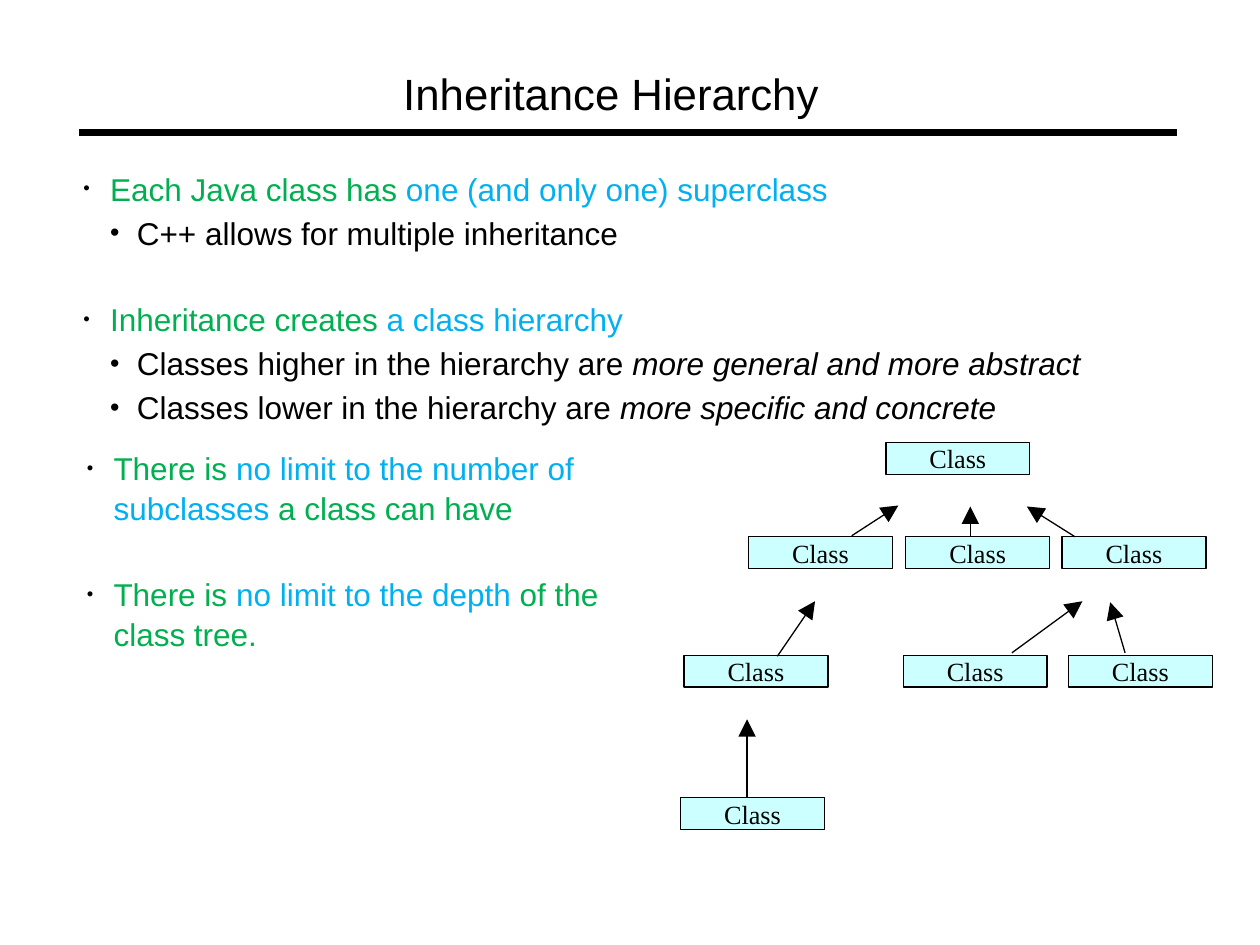
from lxml import etree
from pptx import Presentation
from pptx import util as u
from pptx.dml.color import RGBColor
from pptx.enum import shapes, text
from pptx.oxml.ns import qn

BLACK, GREEN, BLUE, CYAN = "000000", "00B050", "00B0F0", "CCFFFF"


def rgb(hex_color):
    """Turn a hex string into a colour."""
    return RGBColor.from_string(hex_color)


def add_run(p, wording, color=BLACK, **fmt):
    """Add a run, with font values taken from fmt."""
    r = p.add_run()
    r.text = wording
    r.font.color.rgb = rgb(color)
    for name, value in {"name": "Arial", "size": u.Pt(18), **fmt}.items():
        setattr(r.font, name, value)


prs = Presentation()
prs.slide_width, prs.slide_height = u.Cm(25.4), u.Cm(19.05)
s = prs.slides.add_slide(prs.slide_layouts[6])
no_margins = dict.fromkeys(
    ["margin_left", "margin_right", "margin_top", "margin_bottom"], 0)

# Title
title = s.shapes.add_textbox(u.Cm(8.13), u.Cm(1.35), u.Cm(10.67), u.Cm(1.07))
tf = title.text_frame
for name, value in {**no_margins, "word_wrap": True}.items():
    setattr(tf, name, value)
add_run(tf.paragraphs[0], "Inheritance Hierarchy", size=u.Pt(25))

# Bullet lists: box, then (level, space before, runs)
lists = [
    ((1.68, 3.38, 21.59, 5), [
        (0, 2.5, [("Each Java class has ", GREEN, False),
                  ("one (and only one) superclass", BLUE, False)]),
        (1, 2.5, [("C++ allows for multiple inheritance", BLACK, False)]),
        (0, 26.7, [("Inheritance creates ", GREEN, False),
                   ("a class hierarchy", BLUE, False)]),
        (1, 2.5, [("Classes higher in the hierarchy are ", BLACK, False),
                  ("more general and more abstract", BLACK, True)]),
        (1, 2.5, [("Classes lower in the hierarchy are ", BLACK, False),
                  ("more specific and concrete", BLACK, True)]),
    ]),
    ((1.75, 9.02, 10.87, 4.06), [
        (0, 2.5, [("There is ", GREEN, False),
                  ("no limit to the number of subclasses", BLUE, False),
                  (" a class can have", GREEN, False)]),
        (0, 26.7, [("There is ", GREEN, False),
                   ("no limit to the depth ", BLUE, False),
                   ("of the class tree.", GREEN, False)]),
    ]),
]
for box, items in lists:
    tf = s.shapes.add_textbox(*map(u.Cm, box)).text_frame
    for name, value in {**no_margins, "word_wrap": True}.items():
        setattr(tf, name, value)
    for i, (level, before, runs) in enumerate(items):
        p = tf.add_paragraph() if i else tf.paragraphs[0]
        for name, value in {"level": level, "space_before": u.Pt(before),
                            "line_spacing": 1.05}.items():
            setattr(p, name, value)
        pPr = p._p.get_or_add_pPr()
        pPr.set("marL", str(u.Cm(0.54 * (level + 1))))
        pPr.set("indent", str(u.Cm(-0.54)))
        bullet_color = etree.SubElement(pPr, qn("a:buClr"))
        etree.SubElement(bullet_color, qn("a:srgbClr"), val=BLACK)
        etree.SubElement(pPr, qn("a:buSzPct"), val=["59000", "85000"][level])
        etree.SubElement(pPr, qn("a:buFont"), typeface="Arial")
        etree.SubElement(pPr, qn("a:buChar"), char="•")
        for wording, color, italic in runs:
            add_run(p, wording, color, italic=italic)

# Class boxes: top of each row, left of each box
rows = [(8.92, [17.86]), (10.82, [15.09, 18.26, 21.41]),
        (13.21, [13.79, 18.21, 21.54]), (16.08, [13.72])]
for top, lefts in rows:
    for left in lefts:
        sp = s.shapes.add_shape(shapes.MSO_SHAPE.ROUNDED_RECTANGLE,
                                u.Cm(left), u.Cm(top), u.Cm(2.9), u.Cm(0.64))
        sp.adjustments[0] = 0
        sp.shadow.inherit = False
        sp.fill.solid()
        sp.fill.fore_color.rgb = rgb(CYAN)
        sp.line.color.rgb = rgb(BLACK)
        sp.line.width = u.Pt(0.75)
        tf = sp.text_frame
        for name, value in {**no_margins, "word_wrap": True,
                            "vertical_anchor": text.MSO_ANCHOR.MIDDLE}.items():
            setattr(tf, name, value)
        tf.paragraphs[0].alignment = text.PP_ALIGN.CENTER
        add_run(tf.paragraphs[0], "Class", name="Times New Roman", size=u.Pt(15))

# Title rule and arrows from subclass to superclass: ends, width, arrowhead
lines = [((1.6, 2.67, 23.72, 2.67), 4.31, False)]
lines += [(ends, 0.75, True) for ends in [
    (15.06, 16.08, 15.06, 14.5),
    (15.67, 13.23, 16.43, 12.12),
    (20.4, 13.16, 21.82, 12.12),
    (22.68, 13.16, 22.38, 12.14),
    (21.67, 10.82, 20.7, 10.21),
    (19.56, 10.8, 19.56, 10.21),
    (17.17, 10.8, 18.11, 10.19),
]]
for ends, width, arrow in lines:
    c = s.shapes.add_connector(shapes.MSO_CONNECTOR.STRAIGHT, *map(u.Cm, ends))
    c.line.color.rgb = rgb(BLACK)
    c.line.width = u.Pt(width)
    if arrow:
        etree.SubElement(c.line._get_or_add_ln(), qn("a:tailEnd"),
                         type="triangle", w="lg", len="lg")
    etree.SubElement(c._element.spPr, qn("a:effectLst"))

prs.save("out.pptx")
